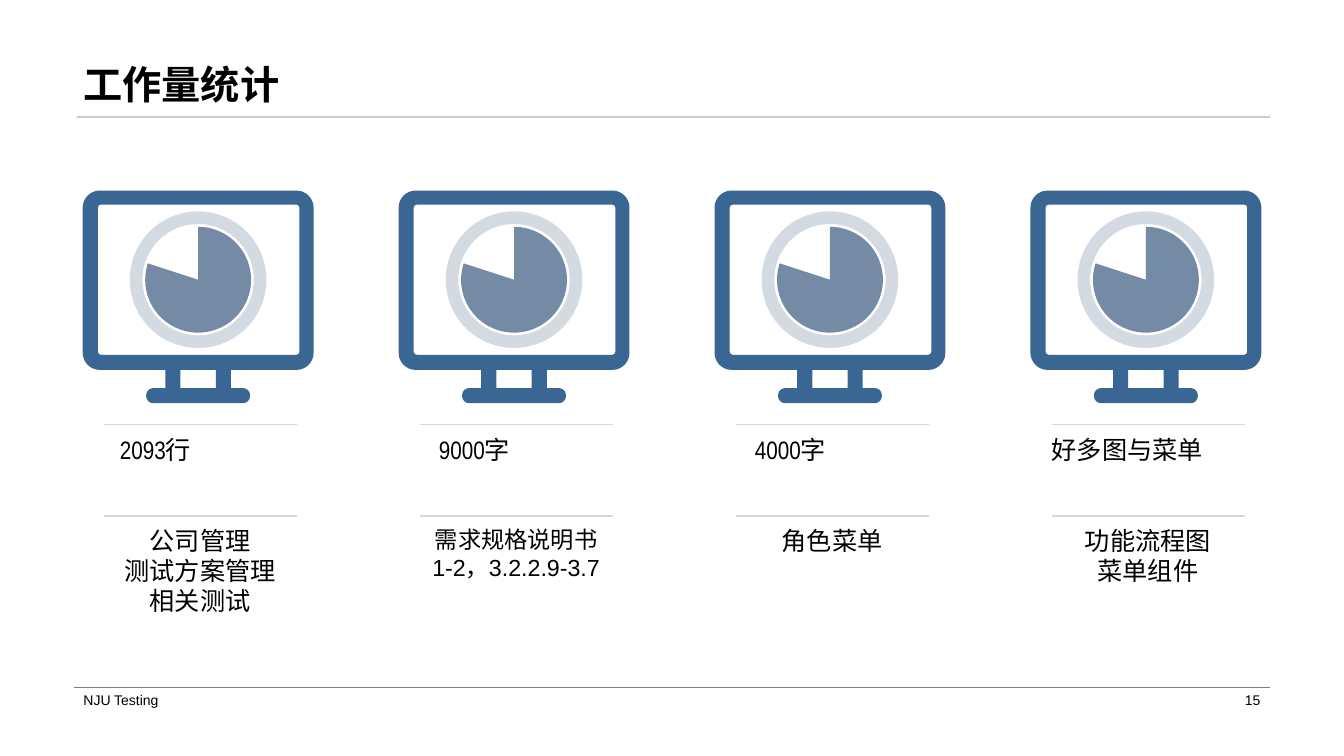
from dataclasses import dataclass
from math import cos, radians, sin

from lxml import etree
from pptx import Presentation
from pptx.dml.color import RGBColor
from pptx.enum.shapes import MSO_CONNECTOR, MSO_SHAPE
from pptx.enum.text import MSO_ANCHOR, PP_ALIGN
from pptx.oxml.ns import qn
from pptx.util import Inches, Pt


@dataclass(frozen=True)
class Theme:
    font: str = "Arial"
    narrow: str = "Arial Narrow"
    text: str = "000000"
    paper: str = "FFFFFF"
    monitor: str = "396692"
    dial: str = "758AA4"
    title_rule: str = "C9CED5"
    footer_rule: str = "808080"
    divider: str = "D8D8D8"
    title_size: float = 28
    body_size: float = 18
    small_size: float = 16.6
    footer_size: float = 10


T = Theme()

# Amount, its left offset and width; caption lines, height and text size
COLUMNS = [
    ("2093行", 0.37, 1.77, ["公司管理", "测试方案管理", "相关测试"], 1.14, T.body_size),
    ("9000字", 0.4, 1.59, ["需求规格说明书", "1-2，3.2.2.9-3.7"], 0.5, T.small_size),
    ("4000字", 0.4, 1.59, ["角色菜单"], 0.4, T.body_size),
    ("好多图与菜单", 0.21, 1.91, ["功能流程图", "菜单组件"], 1.14, T.body_size),
]


def rgb(color):
    return RGBColor.from_string(color)


def paint(sp, color):
    sp.shadow.inherit = False
    sp.fill.solid()
    sp.fill.fore_color.rgb = rgb(color)
    sp.line.fill.background()


def add_shape(slide, kind, x, y, w, h, color):
    sp = slide.shapes.add_shape(kind, Inches(x), Inches(y), Inches(w), Inches(h))
    paint(sp, color)
    return sp


def add_rule(slide, x1, x2, y, color, width):
    cn = slide.shapes.add_connector(
        MSO_CONNECTOR.STRAIGHT, Inches(x1), Inches(y), Inches(x2), Inches(y))
    cn.line.color.rgb = rgb(color)
    cn.line.width = Pt(width)
    etree.SubElement(cn.line._get_or_add_ln().getparent(), qn("a:effectLst"))


def write(sp, lines, size, font=T.font, align=PP_ALIGN.LEFT,
          anchor=MSO_ANCHOR.TOP, bold=False, wrap=True, spacing=None):
    tf = sp.text_frame
    tf.word_wrap = wrap
    tf.vertical_anchor = anchor
    if not wrap:
        tf.margin_left = tf.margin_right = tf.margin_top = tf.margin_bottom = 0
    for i, line in enumerate(lines):
        p = tf.add_paragraph() if i else tf.paragraphs[0]
        p.text = line
        p.alignment = align
        p.line_spacing = spacing
        p.font.name = font
        p.font.size = Pt(size)
        p.font.bold = bold
        p.font.color.rgb = rgb(T.text)


def add_text(slide, x, y, w, h, text, size, **style):
    tb = slide.shapes.add_textbox(Inches(x), Inches(y), Inches(w), Inches(h))
    write(tb, [text], size, **style)


def corner(cx, cy, r, start):
    """Clockwise quarter circle: its start, two Bezier handles and its end."""
    c, s = cos(radians(start)), sin(radians(start))
    quarter = [(1, 0), (1, 0.55), (0.55, 1), (0, 1)]
    return [(cx + r * (u * c - v * s), cy + r * (u * s + v * c)) for u, v in quarter]


def bend(sp, curves):
    """Turn each run of three segments that starts at an index into one curve."""
    segments = list(sp._element.iter(qn("a:lnTo")))
    for i in curves:
        curve = etree.Element(qn("a:cubicBezTo"))
        segments[i].addprevious(curve)
        for segment in segments[i:i + 3]:
            curve.append(segment[0])
            segment.getparent().remove(segment)


def add_monitor(slide, x, y):
    """Monitor 2.29 wide and 2.11 high, with screen and stand cut out."""
    outline = [
        corner(0.17, 0.17, 0.17, 180), corner(2.12, 0.17, 0.17, 270),
        corner(2.12, 1.61, 0.17, 0), [(1.47, 1.78)], [(1.47, 1.96)],
        corner(1.59, 2.03, 0.07, 270), corner(1.59, 2.04, 0.07, 0),
        corner(0.7, 2.04, 0.07, 90), corner(0.7, 2.03, 0.07, 180),
        [(0.82, 1.96)], [(0.82, 1.78)], corner(0.17, 1.61, 0.17, 90),
    ]
    screen = [
        corner(0.18, 0.17, 0.03, 180), corner(2.12, 0.17, 0.03, 270),
        corner(2.12, 1.6, 0.03, 0), corner(0.18, 1.6, 0.03, 90),
    ]
    stand_gap = [[(0.97, 1.78)], [(1.32, 1.78)], [(1.32, 1.96)], [(0.97, 1.96)]]

    fb, curves, count = None, [], 0
    for contour in (outline, screen, stand_gap):
        points = []
        for part in contour:
            if len(part) == 4:
                curves.append(count + len(points))
            points += [(Inches(x + px), Inches(y + py)) for px, py in part]
        if fb is None:
            fb = slide.shapes.build_freeform(*points[0])
        else:
            fb.move_to(*points[0])
        fb.add_line_segments(points[1:])
        count += len(points) - 1
    sp = fb.convert_to_shape()
    bend(sp, curves)
    paint(sp, T.monitor)


def add_dial(slide, x, y):
    """Translucent ring 1.23 across around a pie."""
    ring = add_shape(slide, MSO_SHAPE.OVAL, x, y, 1.23, 1.23, T.dial)
    ring.fill.background()
    ring.line.color.rgb = rgb(T.dial)
    ring.line.width = Pt(9)
    color = ring.line._get_or_add_ln().find(".//" + qn("a:srgbClr"))
    etree.SubElement(color, qn("a:alpha"), val="31000")
    pie = add_shape(slide, MSO_SHAPE.PIE, x + 0.09, y + 0.09, 1.05, 1.05, T.dial)
    # Angles from 270 to 198 degrees, in units of 100000/60000 degree
    pie.adjustments[0] = 270 * 0.6
    pie.adjustments[1] = 198 * 0.6


def add_column(slide, x, y, amount, offset, width, caption, height, size):
    add_monitor(slide, x, y)
    add_dial(slide, x + 0.53, y + 0.27)
    box = add_shape(slide, MSO_SHAPE.RECTANGLE, x + 0.19, y + 3.32, 1.95, height, T.paper)
    write(box, caption, size, align=PP_ALIGN.CENTER, wrap=False)
    for rule_y in (y + 3.23, y + 2.32):
        add_rule(slide, x + 2.13, x + 0.21, rule_y, T.divider, 1)
    add_text(slide, x + offset, y + 2.42, width, 0.71, amount, T.body_size,
             font=T.narrow, wrap=False)


def add_header(slide, x, y, w, title):
    add_shape(slide, MSO_SHAPE.RECTANGLE, x + 0.03, y + 1.15, w - 0.03, 0.02, T.title_rule)
    add_text(slide, x, y, w, 1.12, title, T.title_size, bold=True,
             anchor=MSO_ANCHOR.BOTTOM, spacing=0.9)


def add_footer(slide, x, y, w, label, number):
    add_rule(slide, x, x + w, y, T.footer_rule, 0.5)
    add_text(slide, x, y + 0.01, 4.53, 0.23, label, T.footer_size,
             anchor=MSO_ANCHOR.MIDDLE)
    add_text(slide, x + w - 3.18, y + 0.01, 3.18, 0.23, number, T.footer_size,
             anchor=MSO_ANCHOR.MIDDLE, align=PP_ALIGN.RIGHT)


def add_columns(slide, x, y, w):
    pitch = (w - 2.29) / (len(COLUMNS) - 1)
    for i, column in enumerate(COLUMNS):
        add_column(slide, x + i * pitch, y, *column)


def main():
    prs = Presentation()
    prs.slide_width, prs.slide_height = Inches(13.33), Inches(7.5)
    slide = prs.slides.add_slide(prs.slide_layouts[6])
    add_header(slide, 0.73, 0, 11.87, "工作量统计")
    add_columns(slide, 0.82, 1.89, 11.69)
    add_footer(slide, 0.73, 6.82, 11.87, "NJU Testing", "15")
    prs.save("out.pptx")


if __name__ == "__main__":
    main()
